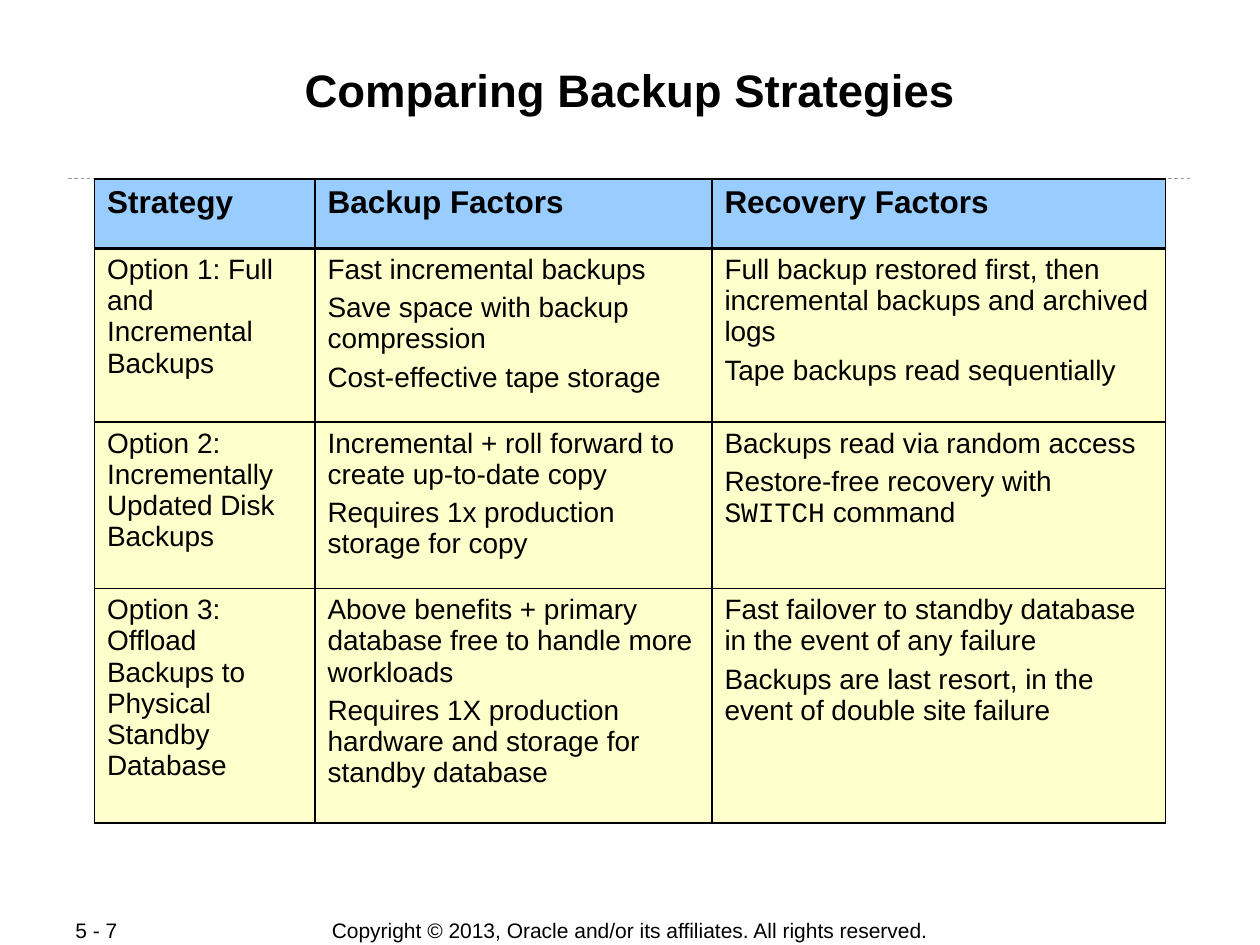
from lxml.etree import SubElement
from pptx import Presentation
from pptx.dml.color import RGBColor
from pptx.enum.dml import MSO_LINE
from pptx.enum.shapes import MSO_CONNECTOR
from pptx.enum.text import MSO_ANCHOR, MSO_AUTO_SIZE, PP_ALIGN
from pptx.oxml import parse_xml
from pptx.oxml.ns import nsdecls, qn
from pptx.util import Inches, Pt

COLORS = {"text": "000000", "header": "99CCFF", "body": "FFFFCC", "rule": "999999"}
ROWS = [
    [["Strategy"], ["Backup Factors"], ["Recovery Factors"]],
    [["Option 1: Full and Incremental Backups"],
     ["Fast incremental backups", "Save space with backup compression",
      "Cost-effective tape storage"],
     ["Full backup restored first, then incremental backups and archived logs",
      "Tape backups read sequentially"]],
    [["Option 2: Incrementally Updated Disk Backups"],
     ["Incremental + roll forward to create up-to-date copy",
      "Requires 1x production storage for copy"],
     ["Backups read via random access", "Restore-free recovery with |SWITCH| command"]],
    [["Option 3: Offload Backups to Physical Standby Database"],
     ["Above benefits + primary database free to handle more workloads",
      "Requires 1X production hardware and storage for standby database"],
     ["Fast failover to standby database in the event of any failure",
      "Backups are last resort, in the event of double site failure"]],
]
COL_WIDTHS = [1.75, 3.15, 3.6]
ROW_HEIGHTS = [0.55, 1.38, 1.32, 1.86]


def add_text(p, text, size, bold=False):
    """Add runs to a paragraph; text between bars is set in the code font."""
    for i, part in enumerate(text.split("|")):
        r = p.add_run()
        r.text = part
        r.font.name = "Courier New" if i % 2 else "Arial"
        r.font.size = Pt(size)
        r.font.bold = bold
        r.font.color.rgb = RGBColor.from_string(COLORS["text"])


def set_borders(cell, top, bottom):
    """Draw all four cell edges; top and bottom are widths in points."""
    widths = {"lnL": 1.08, "lnR": 1.08, "lnT": top, "lnB": bottom}
    for i, (tag, width) in enumerate(widths.items()):
        cell._tc.get_or_add_tcPr().insert(i, parse_xml(
            f'<a:{tag} {nsdecls("a")} w="{Pt(width)}"><a:solidFill>'
            f'<a:srgbClr val="{COLORS["text"]}"/></a:solidFill></a:{tag}>'))


prs = Presentation()
prs.slide_width, prs.slide_height = Inches(10), Inches(7.5)
s = prs.slides.add_slide(prs.slide_layouts[5])

# Title
title = s.shapes.title
title.left, title.top = Inches(0.67), Inches(0.48)
title.width, title.height = Inches(8.66), Inches(0.96)
tf = title.text_frame
tf.auto_size = MSO_AUTO_SIZE.NONE
tf.vertical_anchor = MSO_ANCHOR.TOP
tf.margin_left = tf.margin_right = tf.margin_top = tf.margin_bottom = Inches(0.01)
p = tf.paragraphs[0]
p.alignment = PP_ALIGN.CENTER
add_text(p, "Comparing Backup Strategies", 26, True)

# Dashed rule under the title
rule = s.shapes.add_connector(MSO_CONNECTOR.STRAIGHT, Inches(0.54), Inches(1.42),
                              Inches(9.46), Inches(1.42))
rule.line.color.rgb = RGBColor.from_string(COLORS["rule"])
rule.line.width = Pt(0.5)
rule.line.dash_style = MSO_LINE.DASH
SubElement(rule._element.spPr, qn("a:effectLst"))

# Strategy table
table = s.shapes.add_table(len(ROWS), len(COL_WIDTHS), Inches(0.75), Inches(1.42),
                           Inches(sum(COL_WIDTHS)), Inches(sum(ROW_HEIGHTS))).table
for column, width in zip(table.columns, COL_WIDTHS):
    column.width = Inches(width)
for i, (row, height) in enumerate(zip(ROWS, ROW_HEIGHTS)):
    table.rows[i].height = Inches(height)
    header = i == 0
    for j, lines in enumerate(row):
        cell = table.cell(i, j)
        cell.fill.solid()
        cell.fill.fore_color.rgb = RGBColor.from_string(COLORS["header" if header else "body"])
        set_borders(cell, 2.21 if i == 1 else 1.08, 2.21 if header else 1.08)
        for k, line in enumerate(lines):
            p = cell.text_frame.add_paragraph() if k else cell.text_frame.paragraphs[0]
            if k:
                p.space_before = Pt(4)
            add_text(p, line, 18 if header else 16, header)

# Page number and copyright line
for text, left, width, align in [
    ("5 - 7", 0.5, 1.06, PP_ALIGN.LEFT),
    ("Copyright © 2013, Oracle and/or its affiliates. All rights reserved.",
     2.5, 5, PP_ALIGN.CENTER),
]:
    tf = s.shapes.add_textbox(Inches(left), Inches(7.28), Inches(width), Inches(0.2)).text_frame
    tf.word_wrap = True
    tf.vertical_anchor = MSO_ANCHOR.MIDDLE
    tf.paragraphs[0].alignment = align
    add_text(tf.paragraphs[0], text, 12)

prs.save("out.pptx")
